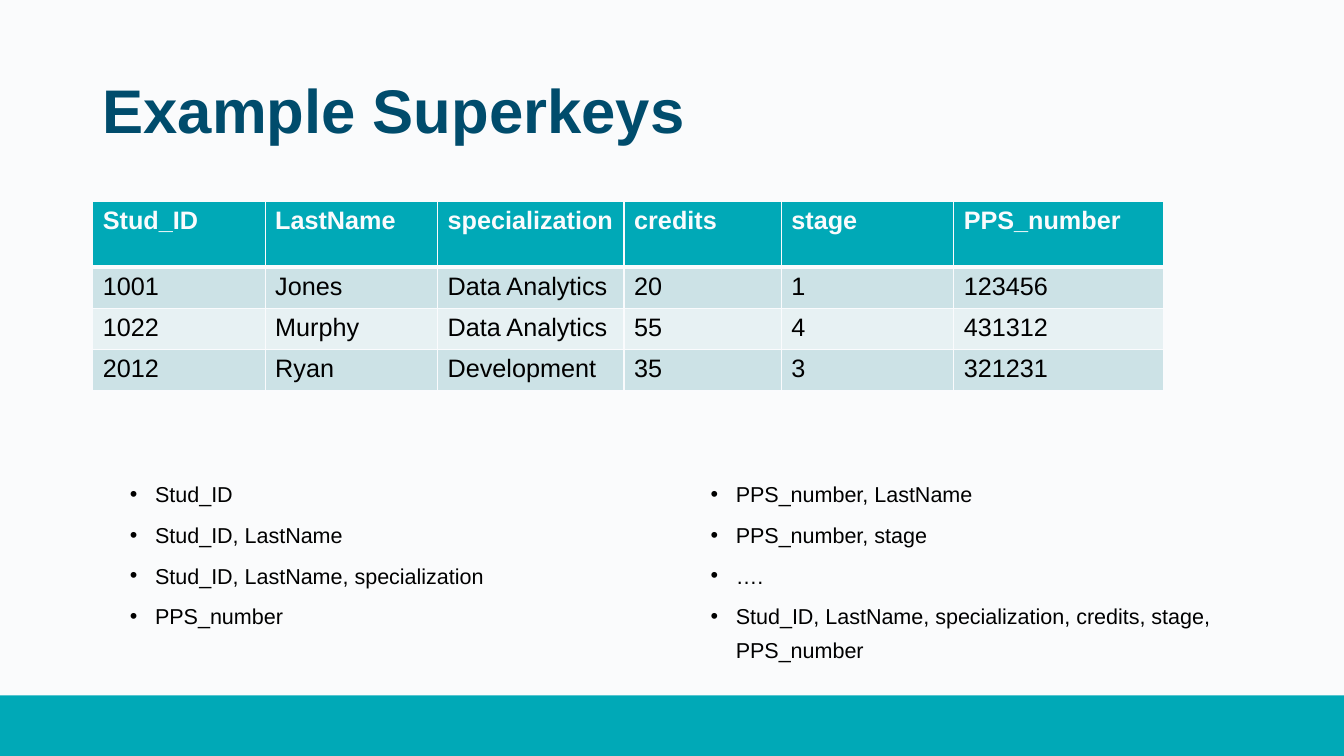
from dataclasses import dataclass

from lxml import etree
from pptx import Presentation
from pptx import util as u
from pptx.dml.color import RGBColor
from pptx.enum import shapes, text
from pptx.oxml.ns import qn

FONT = "Arial"
TEAL, NAVY, BLACK = "00A9B7", "004C6C", "000000"
BACKGROUND, OFF_WHITE = "FAFBFC", "FAFBFD"
BANDS = ("CCE2E6", "E7F1F3")


@dataclass
class KeyList:
    left: float
    keys: tuple[str, ...]


COLUMN_WIDTHS = (1.71, 1.71, 1.85, 1.56, 1.71, 2.08)
STUDENT_ROWS = (
    ("Stud_ID", "LastName", "specialization", "credits", "stage", "PPS_number"),
    ("1001", "Jones", "Data Analytics", "20", "1", "123456"),
    ("1022", "Murphy", "Data Analytics", "55", "4", "431312"),
    ("2012", "Ryan", "Development", "35", "3", "321231"),
)
KEY_LISTS = (
    KeyList(0.69, ("Stud_ID", "Stud_ID, LastName",
                   "Stud_ID, LastName, specialization", "PPS_number")),
    KeyList(6.45, ("PPS_number, LastName", "PPS_number, stage", "….",
                   "Stud_ID, LastName, specialization, credits, stage, PPS_number")),
)


def color(value: str) -> RGBColor:
    return RGBColor.from_string(value)


def set_font(paragraph, size: float, value: str, bold: bool = False) -> None:
    font = paragraph.font
    font.name, font.size, font.bold = FONT, u.Pt(size), bold
    font.color.rgb = color(value)


def add_frame(slide, left: float, top: float, width: float, height: float):
    """Add a wrapping text box and return its text frame."""
    box = slide.shapes.add_textbox(*map(u.Inches, (left, top, width, height)))
    box.text_frame.word_wrap = True
    return box.text_frame


def add_footer_band(slide) -> None:
    band = slide.shapes.add_shape(shapes.MSO_SHAPE.RECTANGLE, 0, u.Inches(6.9),
                                  u.Inches(13.33), u.Inches(0.6))
    band.shadow.inherit = False
    band.fill.solid()
    band.fill.fore_color.rgb = color(TEAL)
    band.line.fill.background()


def add_title(slide) -> None:
    frame = add_frame(slide, 0.92, 0.4, 11.5, 1.45)
    frame.vertical_anchor = text.MSO_ANCHOR.MIDDLE
    paragraph = frame.paragraphs[0]
    paragraph.text = "Example Superkeys"
    paragraph.line_spacing = 0.9
    set_font(paragraph, 44, NAVY, bold=True)


def set_borders(cell, top: float, bottom: float) -> None:
    properties = cell._tc.get_or_add_tcPr()
    widths = {"a:lnL": 1, "a:lnR": 1, "a:lnT": top, "a:lnB": bottom}
    for position, (tag, width) in enumerate(widths.items()):
        line = etree.Element(qn(tag), w=str(u.Pt(width)))
        fill = etree.SubElement(line, qn("a:solidFill"))
        etree.SubElement(fill, qn("a:srgbClr"), val=OFF_WHITE)
        properties.insert(position, line)


def add_student_table(slide) -> None:
    table = slide.shapes.add_table(
        len(STUDENT_ROWS), len(COLUMN_WIDTHS), u.Inches(0.92), u.Inches(2),
        u.Inches(sum(COLUMN_WIDTHS)), u.Inches(1.88)).table
    for column, width in zip(table.columns, COLUMN_WIDTHS):
        column.width = u.Inches(width)
    for row_index, values in enumerate(STUDENT_ROWS):
        header = row_index == 0
        table.rows[row_index].height = u.Inches(0.65 if header else 0.41)
        for column_index, value in enumerate(values):
            cell = table.cell(row_index, column_index)
            cell.text = value
            cell.fill.solid()
            cell.fill.fore_color.rgb = color(
                TEAL if header else BANDS[(row_index - 1) % 2])
            set_borders(cell, top=3 if row_index == 1 else 1, bottom=3 if header else 1)
            set_font(cell.text_frame.paragraphs[0], 18,
                     OFF_WHITE if header else BLACK, bold=header)


def add_key_list(slide, key_list: KeyList) -> None:
    frame = add_frame(slide, key_list.left, 4.65, 5.97, 2.1)
    for index, key in enumerate(key_list.keys):
        paragraph = frame.add_paragraph() if index else frame.paragraphs[0]
        paragraph.text = key
        paragraph.line_spacing = 1.3
        paragraph.space_before = u.Pt(5 if index else 0)
        properties = paragraph._p.get_or_add_pPr()
        properties.set("marL", str(u.Inches(0.75)))
        properties.set("indent", str(u.Inches(-0.25)))
        etree.SubElement(properties, qn("a:buFont"), typeface=FONT)
        etree.SubElement(properties, qn("a:buChar"), char="•")
        set_font(paragraph, 15.4, BLACK)


def main() -> None:
    presentation = Presentation()
    presentation.slide_width = u.Inches(13.33)
    presentation.slide_height = u.Inches(7.5)
    slide = presentation.slides.add_slide(presentation.slide_layouts[6])
    slide.background.fill.solid()
    slide.background.fill.fore_color.rgb = color(BACKGROUND)
    add_footer_band(slide)
    add_title(slide)
    add_student_table(slide)
    for key_list in KEY_LISTS:
        add_key_list(slide, key_list)
    presentation.save("out.pptx")


if __name__ == "__main__":
    main()
